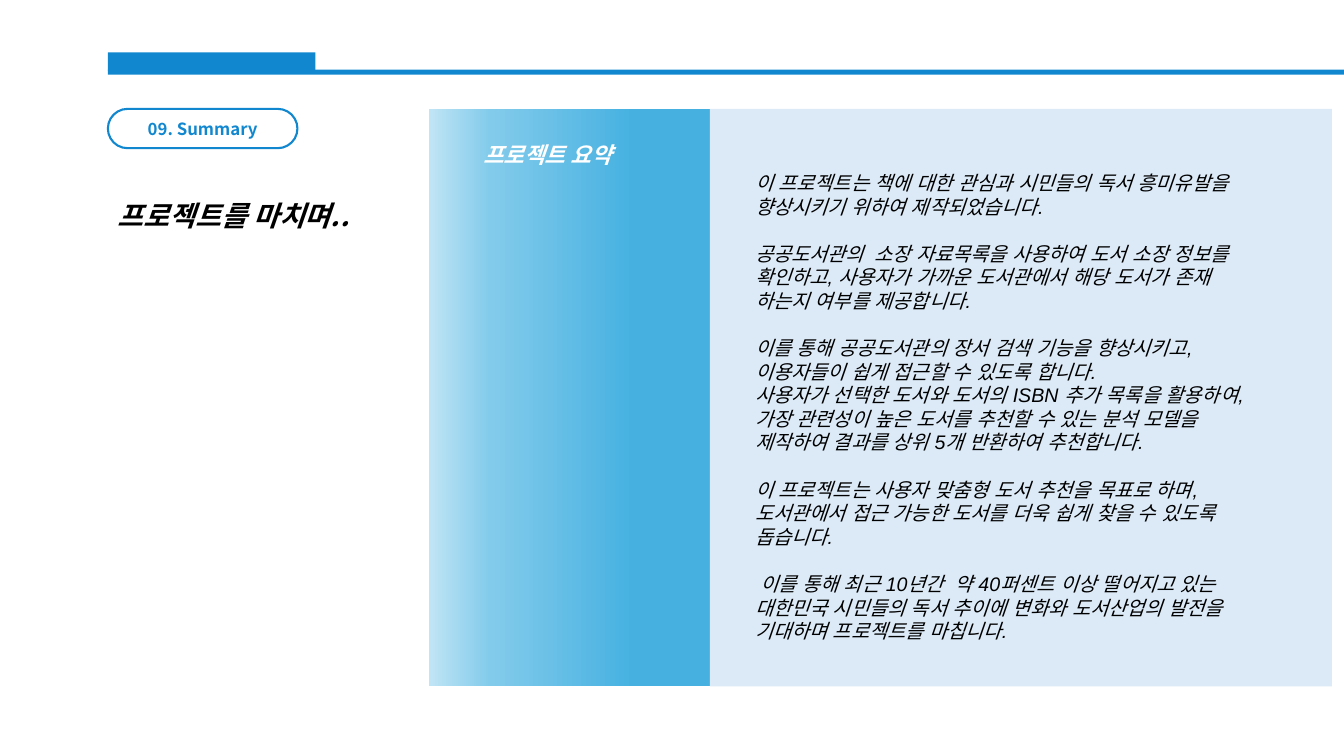
from copy import deepcopy

from lxml import etree
from pptx import Presentation
from pptx.dml.color import RGBColor
from pptx.enum import shapes, text
from pptx.oxml import ns
from pptx.util import Inches, Pt

BLUE, WHITE, BLACK, PALE = "1187CF", "FFFFFF", "000000", "DCEAF7"
GRADIENT = [(0, "C1E5F5"), (0.22, "83CBEB"), (0.73, "46B1E1")]
HEAD_FONT, BODY_FONT = "Noto Sans CJK KR", "Arial"
LEFT, PANEL_TOP, PANEL_HEIGHT = 1.07, 1.08, 5.73

# Each group is set off by a line's space; its paragraphs follow closely.
SUMMARY = [
    ["이 프로젝트는 책에 대한 관심과 시민들의 독서 흥미유발을 향상시키기 위하여 제작되었습니다."],
    ["공공도서관의  소장 자료목록을 사용하여 도서 소장 정보를 확인하고, 사용자가 가까운 도서관에서 "
     "해당 도서가 존재 하는지 여부를 제공합니다."],
    ["이를 통해 공공도서관의 장서 검색 기능을 향상시키고, 이용자들이 쉽게 접근할 수 있도록 합니다.",
     "사용자가 선택한 도서와 도서의 ISBN 추가 목록을 활용하여, 가장 관련성이 높은 도서를 추천할 수 있는 "
     "분석 모델을 제작하여 결과를 상위 5개 반환하여 추천합니다."],
    ["이 프로젝트는 사용자 맞춤형 도서 추천을 목표로 하며, 도서관에서 접근 가능한 도서를 더욱 쉽게 "
     "찾을 수 있도록 돕습니다."],
    [" 이를 통해 최근 10년간  약 40퍼센트 이상 떨어지고 있는 대한민국 시민들의 독서 추이에 변화와 "
     "도서산업의 발전을 기대하며 프로젝트를 마칩니다."],
]


def color(value):
    return RGBColor.from_string(value)


class SlideBuilder:
    def __init__(self, prs):
        self.s = prs.slides.add_slide(prs.slide_layouts[5])

    def shape(self, kind, box, fill=None, line=None):
        sp = self.s.shapes.add_shape(kind, *map(Inches, box))
        sp.shadow.inherit = False
        if fill:
            sp.fill.solid()
            sp.fill.fore_color.rgb = color(fill)
        else:
            sp.fill.background()
        if line:
            sp.line.color.rgb = color(line)
            sp.line.width = Pt(1.5)
        else:
            sp.line.fill.background()
        return sp

    def rect(self, box, fill):
        return self.shape(shapes.MSO_SHAPE.RECTANGLE, box, fill)

    def gradient_rect(self, box, stops):
        sp = self.rect(box, stops[0][1])
        sp.fill.gradient()
        sp.fill.gradient_angle = 0
        gs_list = sp._element.spPr.find(".//" + ns.qn("a:gsLst"))
        while len(gs_list) < len(stops):
            gs_list.append(deepcopy(gs_list[0]))
        for stop, (position, value) in zip(sp.fill.gradient_stops, stops):
            stop.position = position
            stop.color.rgb = color(value)

    def text_box(self, box):
        return self.s.shapes.add_textbox(*map(Inches, box))

    def title(self, box):
        sp = self.s.shapes.title
        sp.left, sp.top, sp.width, sp.height = map(Inches, box)
        return sp

    def put_text(self, sp, groups, size, fill, font=HEAD_FONT, bold=True,
                 italic=True, align=text.PP_ALIGN.CENTER, gap=0):
        """Fill a shape with groups of paragraphs, with gap points between groups."""
        tf = sp.text_frame
        tf.word_wrap = True
        tf.auto_size = text.MSO_AUTO_SIZE.NONE
        tf.vertical_anchor = text.MSO_ANCHOR.MIDDLE
        p = None
        for group in groups:
            for i, content in enumerate(group):
                first = p is None
                p = tf.paragraphs[0] if first else tf.add_paragraph()
                p.alignment = align
                p.space_before = Pt(0 if first or i else gap)
                r = p.add_run()
                r.text = content
                r.font.name, r.font.size = font, Pt(size)
                r.font.bold, r.font.italic = bold, italic
                r.font.color.rgb = color(fill)
                ea = etree.SubElement(r.font._element, ns.qn("a:ea"))
                ea.set("typeface", font)


def main():
    prs = Presentation()
    prs.slide_width, prs.slide_height = Inches(13.33), Inches(7.5)
    b = SlideBuilder(prs)

    b.rect((LEFT, 0.69, 12.26, 0.05), BLUE)
    b.rect((LEFT, 0.52, 2.06, 0.18), BLUE)

    pill = b.shape(shapes.MSO_SHAPE.ROUNDED_RECTANGLE,
                   (LEFT, PANEL_TOP, 1.88, 0.39), line=BLUE)
    pill.adjustments[0] = 0.5
    b.put_text(pill, [["09. Summary"]], 12, BLUE, italic=False)

    b.put_text(b.title((LEFT, 1.59, 3.73, 1.09)), [["프로젝트를 마치며.."]], 20, BLACK,
               align=text.PP_ALIGN.JUSTIFY)

    b.gradient_rect((4.25, PANEL_TOP, 2.79, PANEL_HEIGHT), GRADIENT)
    b.rect((7.04, PANEL_TOP, 6.17, PANEL_HEIGHT), PALE)

    b.put_text(b.text_box((4.33, 1.26, 2.2, 0.54)), [["프로젝트 요약"]], 16, WHITE)
    b.put_text(b.text_box((7.39, 0.89, 5.16, 6.29)), SUMMARY, 14, BLACK, BODY_FONT,
               bold=False, align=text.PP_ALIGN.LEFT, gap=17)

    prs.save("out.pptx")


if __name__ == "__main__":
    main()
